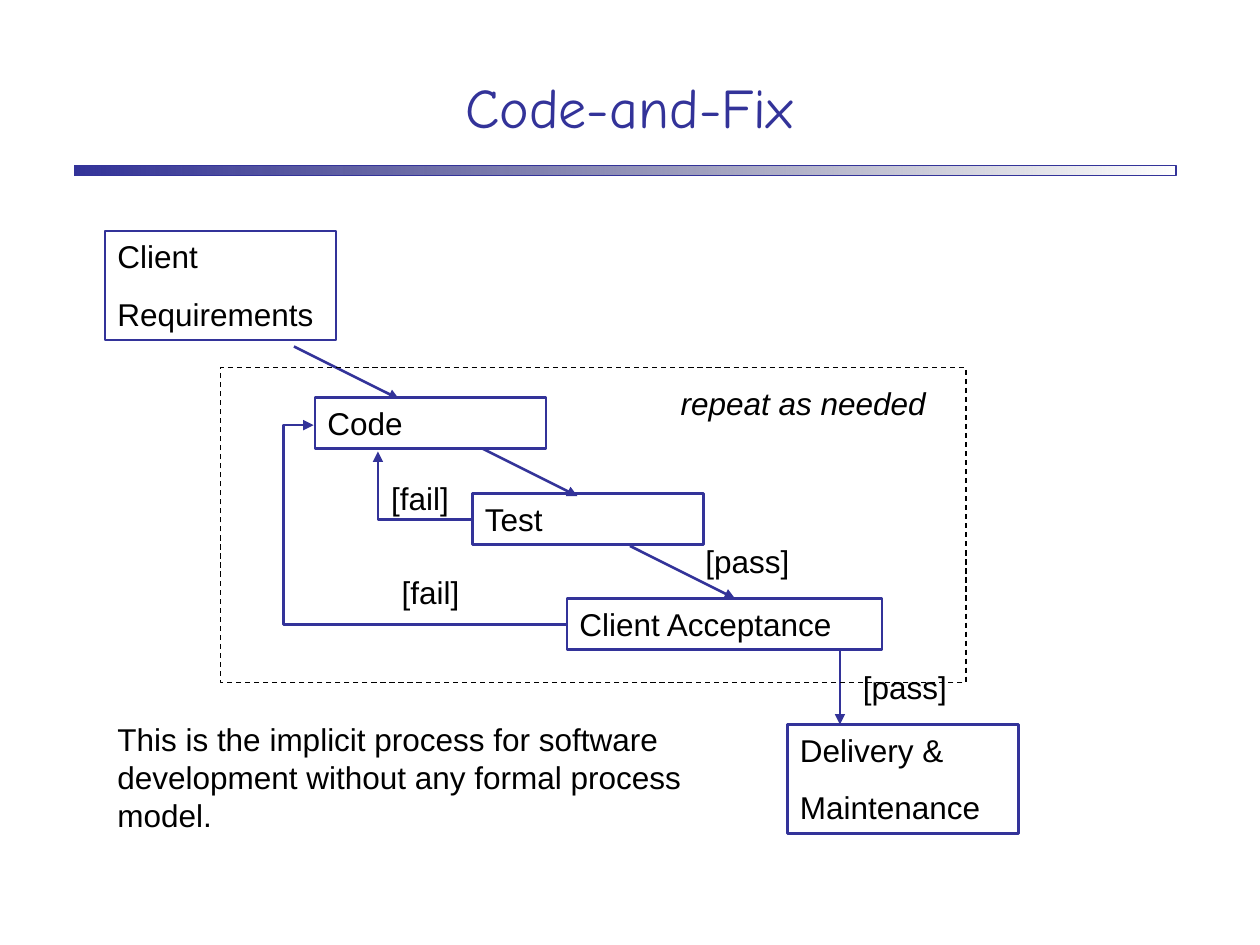
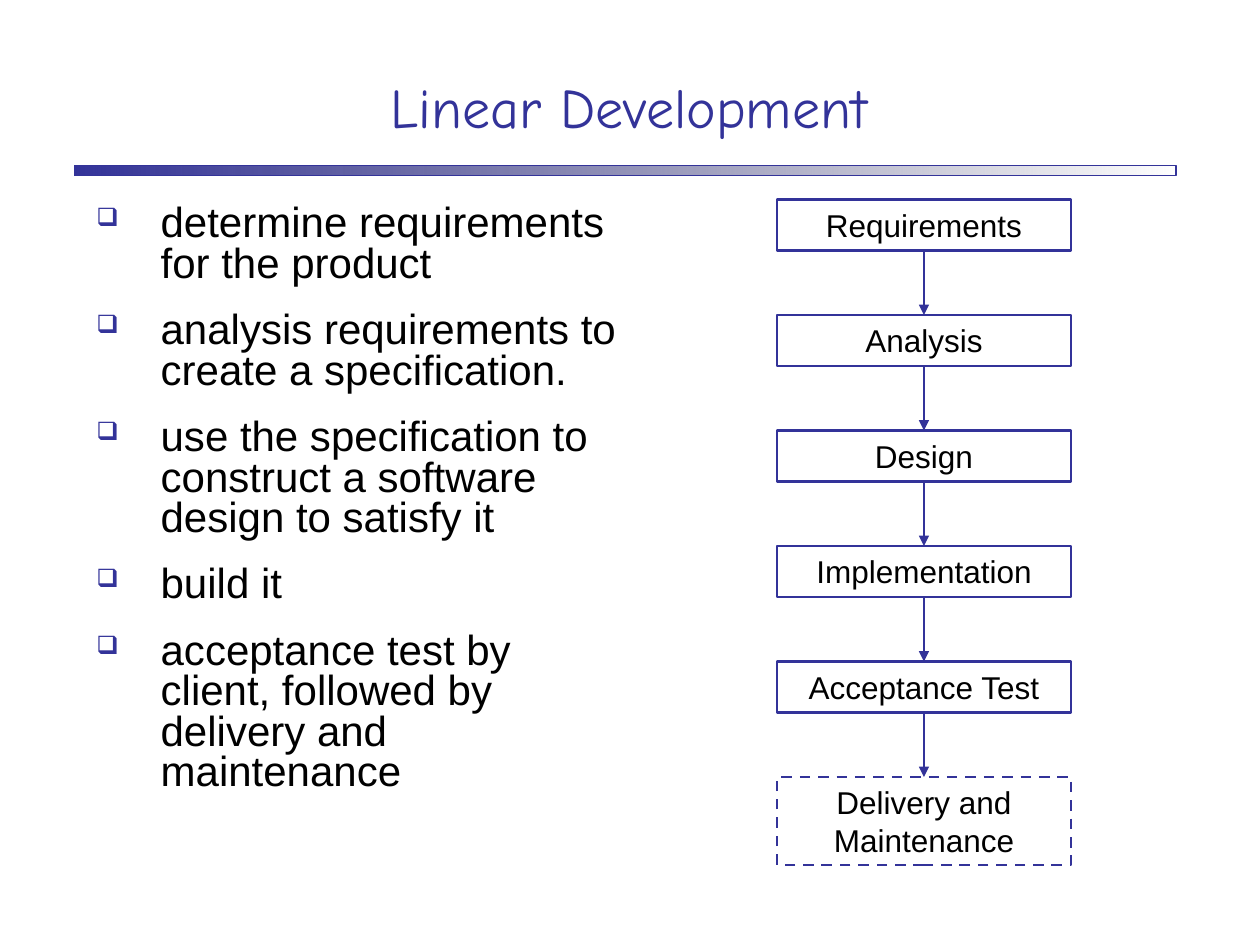
from typing import Any, NamedTuple

from lxml.etree import SubElement
from pptx import Presentation
from pptx.dml.color import RGBColor
from pptx.enum.dml import MSO_LINE
from pptx.enum.shapes import MSO_CONNECTOR, MSO_SHAPE
from pptx.enum.text import MSO_ANCHOR, PP_ALIGN
from pptx.oxml.ns import qn
from pptx.util import Emu, Pt

EMU_PER_PX = 9525  # 96 px to the inch
COLORS = {"accent": "333399", "fade": "171746", "text": "000000"}
TITLE_FONT, BODY_FONT = "Comic Neue", "Arial"
TITLE_FRAME = {"vertical_anchor": MSO_ANCHOR.BOTTOM, "word_wrap": True}
TEXT_FRAME = {"vertical_anchor": MSO_ANCHOR.TOP, "word_wrap": True}
TITLE_TYPE = {"name": TITLE_FONT, "size": Pt(32), "bold": False}
DIAGRAM_TYPE = {"name": BODY_FONT, "size": Pt(18)}
LIST_TYPE = {"name": BODY_FONT, "size": Pt(24)}
LIST_SPACING = {"line_spacing": 0.8, "space_before": Pt(15)}
BOX_HEIGHT = 39


class Area(NamedTuple):
    left: int
    top: int
    width: int
    height: int = BOX_HEIGHT


class Step(NamedTuple):
    area: Area
    lines: list[str]
    align: PP_ALIGN = PP_ALIGN.LEFT
    dash: MSO_LINE | None = None


class Label(NamedTuple):
    area: Area
    text: str
    align: PP_ALIGN = PP_ALIGN.LEFT
    italic: bool = False


class Arrow(NamedTuple):
    start: tuple[int, int]
    end: tuple[int, int]
    bend: int | None = None  # place of the bend, in thousandths of a percent


TITLE_AREA = Area(64, 20, 831, 91)
BAND_AREA = Area(57, 126, 839, 8)


def px(*lengths: int) -> list[Emu]:
    return [Emu(length * EMU_PER_PX) for length in lengths]


def color(name: str) -> RGBColor:
    return RGBColor.from_string(COLORS[name])


def apply(target: Any, values: dict[str, Any]) -> None:
    for attribute, value in values.items():
        setattr(target, attribute, value)


def write(frame: Any, lines: list[str], type_style: dict, spacing: dict, ink: str = "text") -> None:
    for index, line in enumerate(lines):
        paragraph = frame.paragraphs[0] if index == 0 else frame.add_paragraph()
        apply(paragraph, spacing)
        run = paragraph.add_run()
        run.text = line
        apply(run.font, type_style)
        run.font.color.rgb = color(ink)


def outline(line: Any, ink: str, points: float, dash: MSO_LINE | None = None) -> None:
    line.color.rgb = color(ink)
    apply(line, {"width": Pt(points), "dash_style": dash})


def add_rectangle(slide: Any, area: Area) -> Any:
    rectangle = slide.shapes.add_shape(MSO_SHAPE.RECTANGLE, *px(*area))
    rectangle.shadow.inherit = False
    rectangle.fill.background()
    return rectangle


def add_step(slide: Any, step: Step) -> Any:
    box = add_rectangle(slide, step.area)
    outline(box.line, "accent", 1.5, step.dash)
    apply(box.text_frame, TEXT_FRAME)
    write(box.text_frame, step.lines, DIAGRAM_TYPE, {"space_before": Pt(11.2), "alignment": step.align})
    return box


def add_label(slide: Any, label: Label) -> None:
    frame = slide.shapes.add_textbox(*px(*label.area)).text_frame
    apply(frame, TEXT_FRAME)
    write(frame, [label.text], DIAGRAM_TYPE | {"italic": label.italic},
          {"space_before": Pt(11.2), "alignment": label.align})


def add_arrow(slide: Any, arrow: Arrow) -> Any:
    kind = MSO_CONNECTOR.STRAIGHT if arrow.bend is None else MSO_CONNECTOR.ELBOW
    connector = slide.shapes.add_connector(kind, *px(*arrow.start, *arrow.end))
    outline(connector.line, "accent", 1.5)
    properties = connector.element.spPr
    SubElement(properties.find(qn("a:ln")), qn("a:tailEnd"), type="triangle")
    SubElement(properties, qn("a:effectLst"))
    if arrow.bend is not None:
        adjustments = properties.find(qn("a:prstGeom")).get_or_add_avLst()
        SubElement(adjustments, qn("a:gd"), name="adj1", fmla=f"val {arrow.bend}")
    return connector


def add_titled_slide(deck: Any, heading: str) -> Any:
    slide = deck.slides.add_slide(deck.slide_layouts[5])
    title = slide.shapes.title
    apply(title, dict(zip(Area._fields, px(*TITLE_AREA))))
    apply(title.text_frame, TITLE_FRAME)
    write(title.text_frame, [heading], TITLE_TYPE, {"alignment": PP_ALIGN.CENTER}, "accent")

    # Band under the title, fading out to the right
    band = add_rectangle(slide, BAND_AREA)
    outline(band.line, "accent", 0.75)
    band.fill.gradient()
    band.fill.gradient_angle = 180
    for stop, ink in zip(band.fill.gradient_stops, ("fade", "accent")):
        stop.color.rgb = color(ink)
    faded = band.element.xpath(".//a:gs/a:srgbClr")[0]
    SubElement(faded, qn("a:alpha"), val="0")
    return slide


def add_bullets(slide: Any, area: Area, items: list[str]) -> None:
    frame = slide.shapes.add_textbox(*px(*area)).text_frame
    apply(frame, TEXT_FRAME)
    write(frame, items, LIST_TYPE, LIST_SPACING)
    indent = 49 * EMU_PER_PX
    for paragraph in frame.paragraphs:
        properties = paragraph._p.get_or_add_pPr()
        properties.set("marL", str(indent))
        properties.set("indent", str(-indent))
        bullet_color = SubElement(properties, qn("a:buClr"))
        SubElement(bullet_color, qn("a:srgbClr"), val=COLORS["accent"])
        SubElement(properties, qn("a:buSzPct"), val="60000")
        SubElement(properties, qn("a:buChar"), char="❑")


def build_code_and_fix(deck: Any) -> None:
    slide = add_titled_slide(deck, "Code-and-Fix")

    # Process steps
    for step in (
        Step(Area(80, 176, 176, 83), ["Client", "Requirements"]),
        Step(Area(240, 303, 176), ["Code"]),
        Step(Area(360, 376, 176), ["Test"]),
        Step(Area(432, 456, 240), ["Client Acceptance"]),
        Step(Area(600, 552, 176, 83), ["Delivery &", "Maintenance"]),
    ):
        add_step(slide, step)

    # Forward arrows, then the two loops back to Code
    for arrow in (
        Arrow((224, 264), (304, 304)),
        Arrow((368, 342), (440, 378)),
        Arrow((480, 416), (560, 456)),
        Arrow((640, 496), (640, 552)),
        Arrow((359, 396), (288, 344), 100000),
        Arrow((431, 476), (239, 324), 112000),
    ):
        add_arrow(slide, arrow)

    # Repeated part of the process
    repeat_frame = add_rectangle(slide, Area(168, 280, 568, 240))
    outline(repeat_frame.line, "text", 0.75, MSO_LINE.DASH)

    # Outcomes and remarks
    for label in (
        Label(Area(280, 360, 80), "[fail]", PP_ALIGN.CENTER),
        Label(Area(288, 432, 80), "[fail]", PP_ALIGN.CENTER),
        Label(Area(528, 408, 104), "[pass]"),
        Label(Area(648, 504, 104), "[pass]"),
        Label(Area(496, 288, 232), "repeat as needed", PP_ALIGN.CENTER, italic=True),
        Label(Area(80, 544, 480, 96),
              "This is the implicit process for software development without any formal process model."),
    ):
        add_label(slide, label)


def build_linear_development(deck: Any) -> None:
    slide = add_titled_slide(deck, "Linear Development")
    add_bullets(slide, Area(64, 152, 416, 468), [
        "determine requirements for the product",
        "analysis requirements to create a specification.",
        "use the specification to construct a software design to satisfy it",
        "build it",
        "acceptance test by client, followed by delivery and maintenance",
    ])

    # Phases at an equal pitch; the last one is taller and dashed
    left, top, width, pitch = 592, 152, 224, 88
    names = ["Requirements", "Analysis", "Design", "Implementation", "Acceptance Test"]
    phases = [
        add_step(slide, Step(Area(left, top + row * pitch, width), [name], PP_ALIGN.CENTER))
        for row, name in enumerate(names)
    ]
    delivery = Area(left, top + len(names) * pitch, width, 67)
    phases.append(add_step(slide, Step(delivery, ["Delivery and Maintenance"], PP_ALIGN.CENTER, MSO_LINE.DASH)))

    # Arrows from each phase to the next
    middle = left + width // 2
    for row, (phase, following) in enumerate(zip(phases, phases[1:])):
        phase_top = top + row * pitch
        arrow = add_arrow(slide, Arrow((middle, phase_top + BOX_HEIGHT), (middle, phase_top + pitch)))
        arrow.begin_connect(phase, 2)
        arrow.end_connect(following, 0)


def main() -> None:
    deck = Presentation()
    deck.slide_width, deck.slide_height = px(960, 720)
    build_code_and_fix(deck)
    build_linear_development(deck)
    deck.save("out.pptx")


if __name__ == "__main__":
    main()
